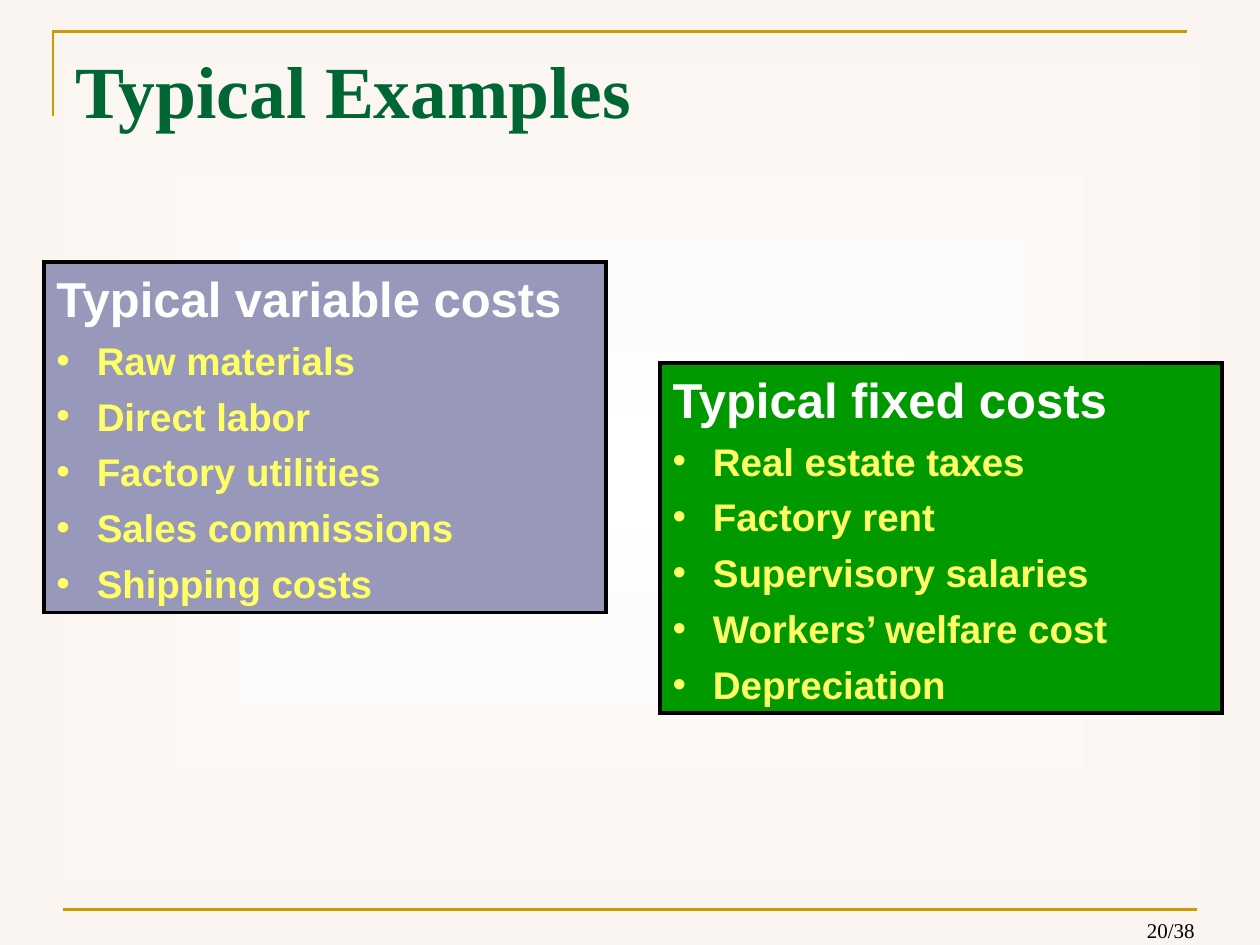
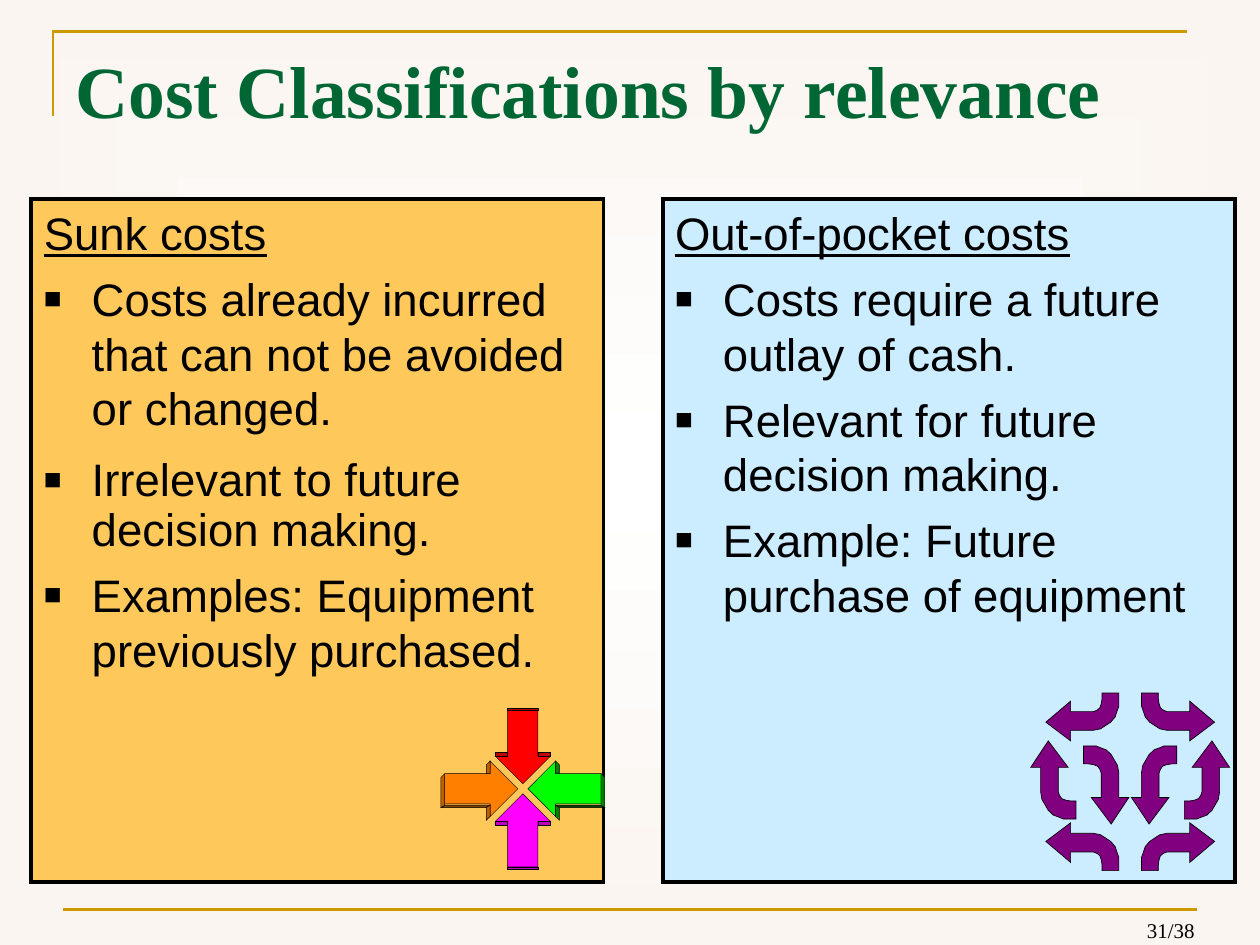
"""Build two cost classification slides on a grid of 10 by 7.5 modules."""
import lxml.etree
import pptx
import pptx.dml.color
import pptx.enum.shapes
import pptx.enum.text
import pptx.oxml.ns
import pptx.util

COLORS = {
    "white": "FFFFFF", "paper": "FAF5F0", "gold": "CC9900", "title": "006633",
    "black": "000000", "variable": "9898BA", "fixed": "009900", "item": "FFFF66",
    "sunk": "FFC85B", "pocket": "CCECFF", "turn": "800080",
}
COLUMNS, ROWS = 10, 7.5
MODULE = pptx.util.Inches(1)
TITLE_FONT, BODY_FONT = "Times New Roman", "Arial"
PAGE_COUNT = 38

ARROW = [(0.04, 0), (0.26, 0.22), (0.26, 0.12), (0.62, 0.12),
         (0.62, -0.12), (0.26, -0.12), (0.26, -0.22)]
STRAIGHT_FACES = [
    ([(0.62, -0.12), (0.62, 0.12), (0.64, 0.12), (0.64, -0.12)], 0),
    ([(0.26, -0.22), (0.26, -0.12), (0.29, -0.12), (0.29, -0.22)], 0),
    ([(0.26, 0.12), (0.26, 0.22), (0.29, 0.22), (0.29, 0.12)], 0),
]
SLANTED_FACES = [
    ([(0.29, 0.15), (0.26, 0.13), (0.62, 0.13), (0.65, 0.15)], 1),
    ([(0.29, 0.15), (0.26, 0.13), (0.26, 0.22), (0.29, 0.25)], 0),
    ([(0.65, -0.09), (0.62, -0.12), (0.62, 0.13), (0.65, 0.15)], 0),
    ([(0.29, -0.12), (0.26, -0.12), (0.26, -0.22), (0.29, -0.19)], 0),
]
TURN = [(1, 0.66), (0.61, 1), (0.17, 0.66), (0.39, 0.66), (0.39, 0.35), (0.36, 0.3),
        (0.31, 0.26), (0.22, 0.24), (0.11, 0.23), (0, 0.23), (0, 0), (0.19, 0),
        (0.28, 0), (0.36, 0.02), (0.5, 0.05), (0.61, 0.11), (0.69, 0.19),
        (0.75, 0.25), (0.78, 0.35), (0.78, 0.66)]


def color(name):
    """Return the colour of a palette name or a hex string."""
    return pptx.dml.color.RGBColor.from_string(COLORS.get(name, name))


def grid(*lengths):
    """Turn grid lengths into slide units."""
    return [round(length * MODULE) for length in lengths]


def set_bullet(para, bullet, tint, size, indent):
    """Give a paragraph a hanging bullet."""
    properties = para._p.get_or_add_pPr()
    properties.set("marL", str(grid(indent)[0]))
    properties.set("indent", str(grid(-indent)[0]))
    qualify = pptx.oxml.ns.qn
    shade = lxml.etree.SubElement(properties, qualify("a:buClr"))
    lxml.etree.SubElement(shade, qualify("a:srgbClr"), val=COLORS[tint])
    lxml.etree.SubElement(properties, qualify("a:buSzPct"), val=str(size * 1000))
    lxml.etree.SubElement(properties, qualify("a:buFont"), typeface=BODY_FONT)
    lxml.etree.SubElement(properties, qualify("a:buChar"), char=bullet)


def write(frame, text, size, tint, font=BODY_FONT, bold=False, underline=False,
          align="LEFT", before=0, spacing=None, bullet=None, bullet_size=100, indent=0):
    """Add one formatted paragraph to a text frame."""
    para = frame.paragraphs[0] if not frame.text else frame.add_paragraph()
    if bullet:
        set_bullet(para, bullet, tint, bullet_size, indent)
    para.alignment = getattr(pptx.enum.text.PP_ALIGN, align)
    para.space_before = pptx.util.Pt(before)
    if spacing:
        para.line_spacing = spacing
    span = para.add_run()
    span.text = text
    span.font.name, span.font.size = font, pptx.util.Pt(size)
    span.font.bold, span.font.underline = bold, underline
    span.font.color.rgb = color(tint)


def paint(shape, fill, line, width):
    """Set fill and a sharp-cornered outline and remove the shadow."""
    shape.shadow.inherit = False
    if fill:
        shape.fill.solid()
        shape.fill.fore_color.rgb = color(fill)
    else:
        shape.fill.background()
    shape.line.color.rgb = color(line)
    shape.line.width = pptx.util.Pt(width)
    outline = shape._element.spPr.find(pptx.oxml.ns.qn("a:ln"))
    lxml.etree.SubElement(outline, pptx.oxml.ns.qn("a:miter"), lim="800000")


def add_outline(page, points, fill=None, line="black", width=0.25, close=True):
    """Draw a freeform through grid points."""
    corners = [grid(*point) for point in points]
    builder = page.shapes.build_freeform(*corners[0], scale=1.0)
    builder.add_line_segments(corners[1:], close=close)
    paint(builder.convert_to_shape(), fill, line, width)


def add_text_box(page, place, anchor):
    """Add a wrapping text box and return its frame."""
    frame = page.shapes.add_textbox(*grid(*place)).text_frame
    frame.word_wrap = True
    frame.vertical_anchor = getattr(pptx.enum.text.MSO_ANCHOR, anchor)
    return frame


def add_panel(page, place, fill, width):
    """Add a bordered panel and return its text frame."""
    panel = page.shapes.add_shape(pptx.enum.shapes.MSO_SHAPE.RECTANGLE, *grid(*place))
    paint(panel, fill, "black", width)
    frame = panel.text_frame
    frame.word_wrap = True
    frame.vertical_anchor = pptx.enum.text.MSO_ANCHOR.TOP
    return frame


def set_background(deck):
    """Give the master a gradient that pales towards the centre."""
    fill = deck.slide_master.background.fill
    fill.gradient()
    for stop, position, name in zip(fill.gradient_stops, (0, 1), ("white", "paper")):
        stop.position = position
        stop.color.rgb = color(name)
    gradient = deck.slide_master.element.xpath(".//p:bg//a:gradFill")[0]
    qualify = pptx.oxml.ns.qn
    for linear in gradient.findall(qualify("a:lin")):
        gradient.remove(linear)
    shade = lxml.etree.SubElement(gradient, qualify("a:path"), path="rect")
    middle = dict.fromkeys("ltrb", "50000")
    lxml.etree.SubElement(shade, qualify("a:fillToRect"), **middle)


def add_page(deck, title, number):
    """Add a page with its frame lines, title and page number."""
    page = deck.slides.add_slide(deck.slide_layouts[6])
    add_outline(page, [(0.42, 0.92), (0.42, 0.25), (9.42, 0.25)],
                line="gold", width=1.5, close=False)
    rule = page.shapes.add_connector(pptx.enum.shapes.MSO_CONNECTOR.STRAIGHT,
                                     *grid(0.5, 7.22, 9.5, 7.22))
    rule.line.color.rgb = color("gold")
    rule.line.width = pptx.util.Pt(1.5)
    lxml.etree.SubElement(rule._element.spPr, pptx.oxml.ns.qn("a:effectLst"))
    write(add_text_box(page, (8.15, 7.29, 1.43, 0.24), "BOTTOM"),
          f"{number}/{PAGE_COUNT}", size=12, tint="black", font=TITLE_FONT, align="RIGHT")
    write(add_text_box(page, (0.5, 0.31, 9, 0.85), "TOP"), title,
          size=42, tint="title", font=TITLE_FONT, bold=True)
    return page


def add_cost_list(page, left, top, fill, heading, items):
    """Add a panel that lists example costs."""
    frame = add_panel(page, (left, top, 4.46, 2.78), fill, 2)
    write(frame, heading, size=28, tint="white", bold=True)
    for item in items:
        write(frame, item, size=22, tint="item", bold=True, before=5.5,
              bullet="•", indent=0.32)


def add_relevance_panel(page, left, fill, heading, items):
    """Add a tall panel that explains one class of cost."""
    frame = add_panel(page, (left, 1.58, 4.54, 5.42), fill, 2.25)
    write(frame, heading, size=26, tint="black", underline=True)
    for text, layout in items:
        write(frame, text, **{"size": 26, "tint": "black", "before": 6.5, "bullet": "■",
                              "bullet_size": 65, "indent": 0.38, **layout})


def add_meeting_arrow(page, upright, sign, fill, shades):
    """Draw a raised arrow that points at the centre of the cross."""
    center_x, center_y = 4.15, 6.26
    faces = STRAIGHT_FACES if upright else SLANTED_FACES
    parts = [(ARROW, fill)] + [(points, shades[index]) for points, index in faces]
    for points, tint in parts:
        if upright:
            spots = [(center_x + across, center_y + sign * along) for along, across in points]
        else:
            spots = [(center_x + sign * along, center_y + across) for along, across in points]
        add_outline(page, spots, tint)


def add_turn_arrow(page, left, top, upright, flip_x, flip_y):
    """Draw a bent arrow, lying or upright, mirrored as asked."""
    width, height = (0.36, 0.62) if upright else (0.58, 0.38)
    spots = []
    for across, along in TURN:
        x, y = (across, along) if upright else (along, across)
        x, y = (1 - x if flip_x else x), (1 - y if flip_y else y)
        spots.append((left + x * width, top + y * height))
    add_outline(page, spots, "turn", width=0.37)


def add_turn_ring(page):
    """Draw the ring of bent arrows, mirrored left and right."""
    middle = 8.97
    for offset, top, upright, flip_x, flip_y in (
            (0.09, 5.5, False, False, False), (0.09, 6.53, False, False, True),
            (0.01, 5.92, True, True, False), (0.43, 5.88, True, False, True)):
        width = 0.36 if upright else 0.58
        add_turn_arrow(page, middle + offset, top, upright, flip_x, flip_y)
        add_turn_arrow(page, middle - offset - width, top, upright, not flip_x, flip_y)


def main():
    """Build and save the deck."""
    deck = pptx.Presentation()
    deck.slide_width, deck.slide_height = grid(COLUMNS, ROWS)
    set_background(deck)

    page = add_page(deck, "Typical Examples", 20)
    add_cost_list(page, 0.35, 2.08, "variable", "Typical variable costs",
                  ["Raw materials", "Direct labor", "Factory utilities",
                   "Sales commissions", "Shipping costs"])
    add_cost_list(page, 5.24, 2.88, "fixed", "Typical fixed costs",
                  ["Real estate taxes", "Factory rent", "Supervisory salaries",
                   "Workers’ welfare cost", "Depreciation"])

    page = add_page(deck, "Cost Classifications by relevance", 31)
    add_relevance_panel(page, 0.25, "sunk", "Sunk costs", [
        ("Costs already incurred that can not be avoided or changed.", {}),
        ("Irrelevant to future decision making.", {"before": 13, "spacing": 0.9}),
        ("Examples: Equipment previously purchased.", {})])
    add_relevance_panel(page, 5.26, "pocket", "Out-of-pocket costs", [
        ("Costs require a future outlay of cash.", {}),
        ("Relevant for future decision making.", {}),
        ("Example: Future purchase of equipment", {})])
    for upright, sign, fill, shades in (
            (True, 1, "FF00FF", ["C000C0"]), (False, -1, "FF8000", ["C06000", "804000"]),
            (False, 1, "00FF00", ["008000", "004000"]), (True, -1, "FF0000", ["C00000"])):
        add_meeting_arrow(page, upright, sign, fill, shades)
    add_turn_ring(page)
    deck.save("out.pptx")


if __name__ == "__main__":
    main()
